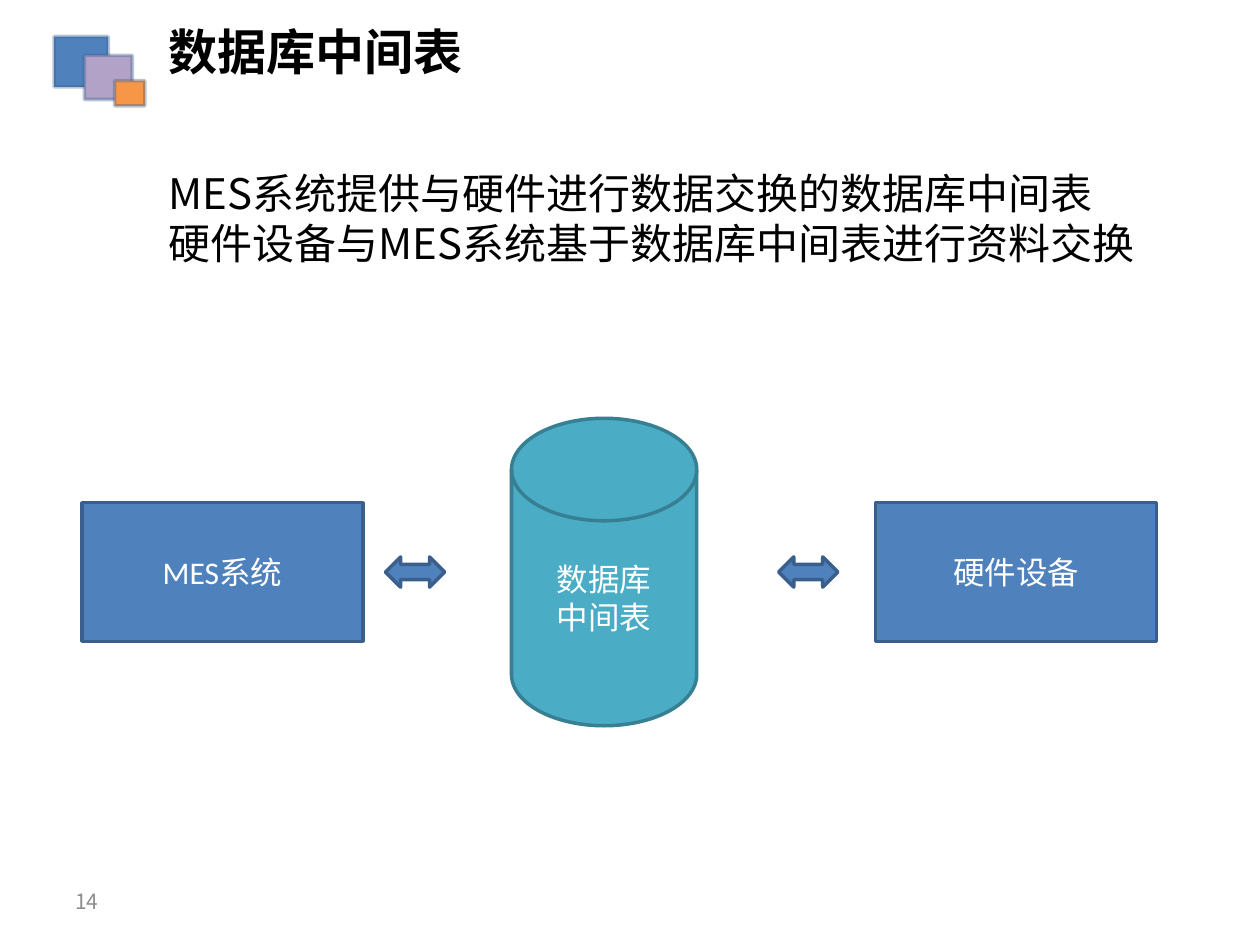
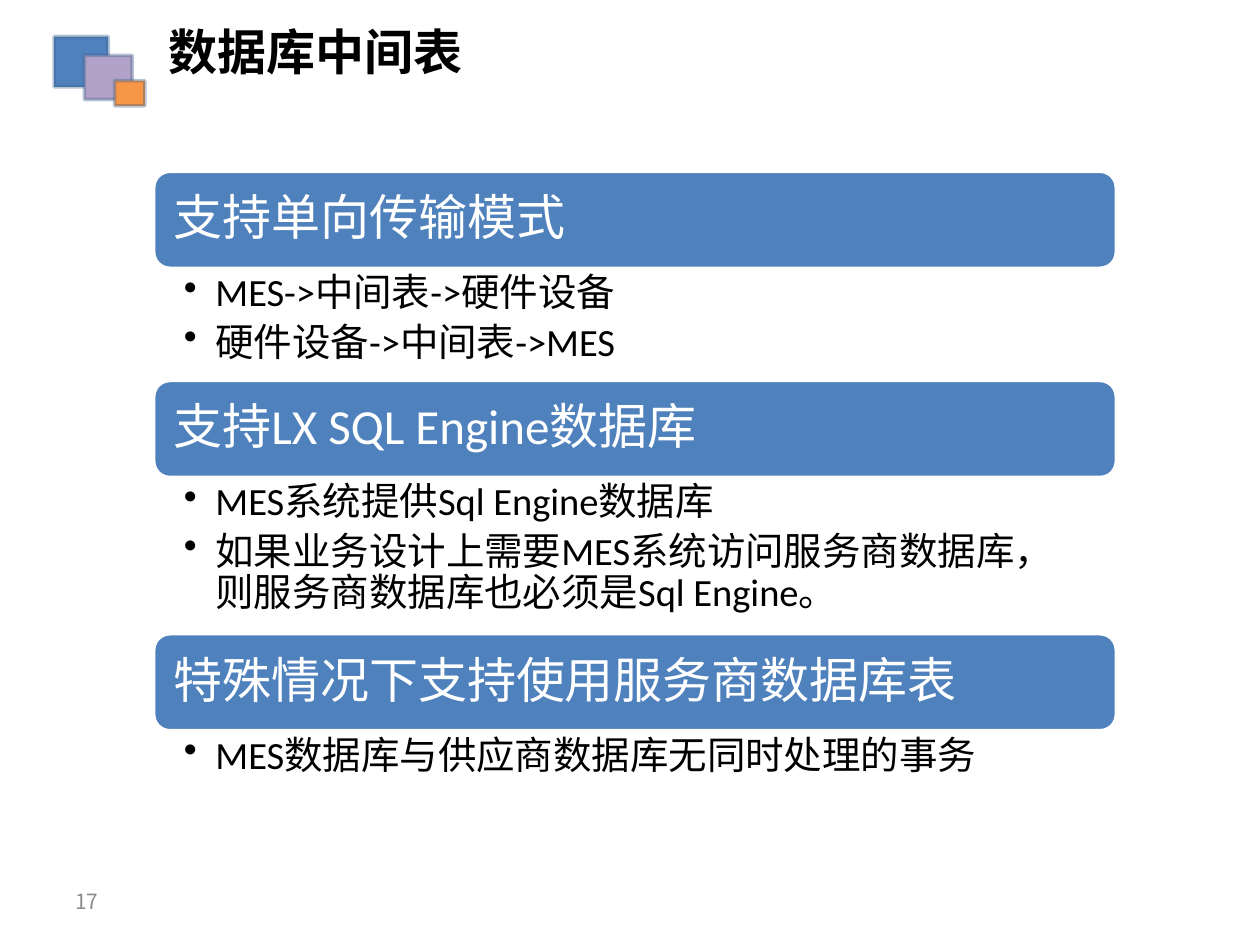
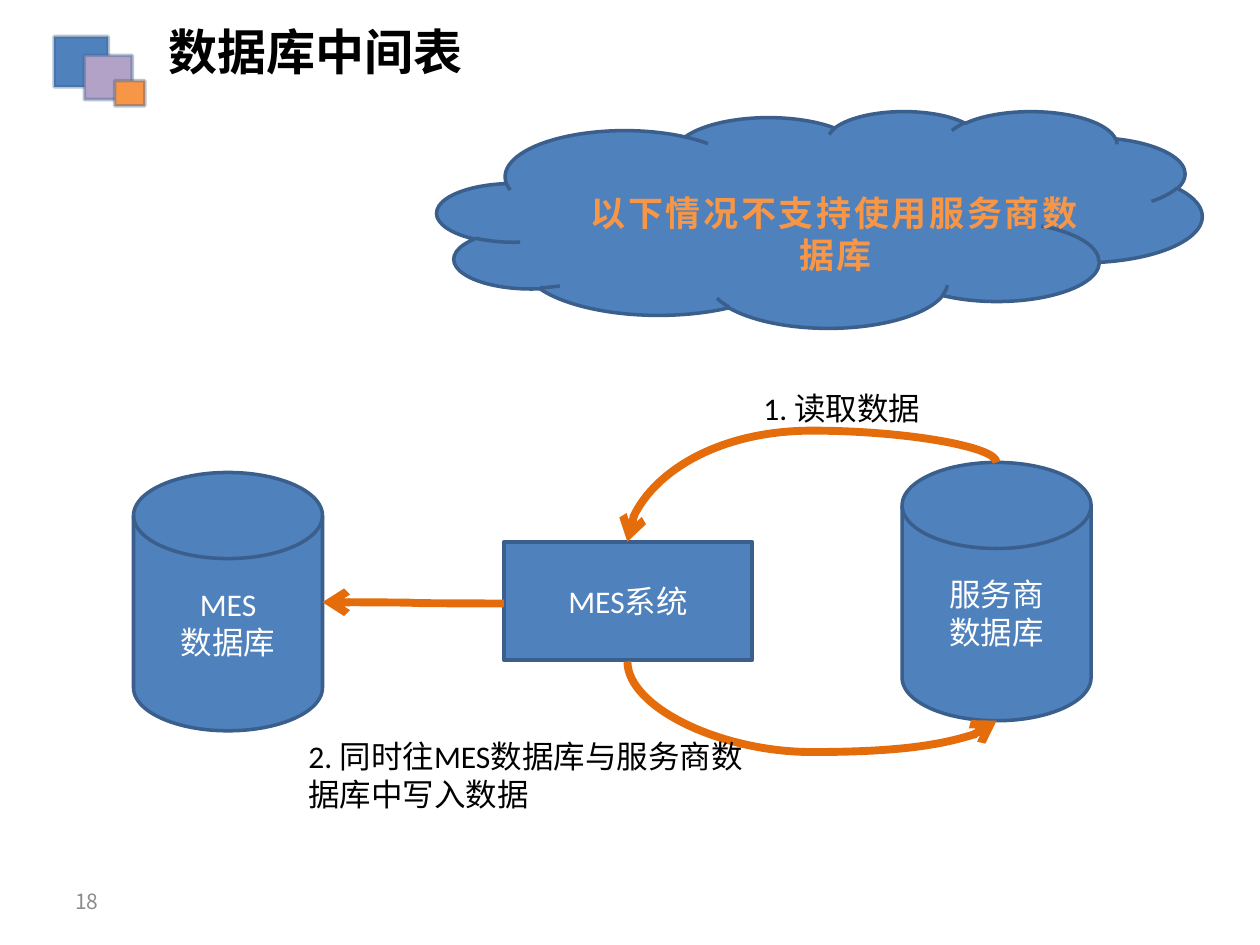
from lxml import etree
from pptx import Presentation
from pptx.dml.color import RGBColor
from pptx.enum.shapes import MSO_CONNECTOR, MSO_SHAPE
from pptx.enum.text import MSO_ANCHOR, PP_ALIGN
from pptx.oxml.ns import qn
from pptx.util import Inches, Pt

RECTANGLE = MSO_SHAPE.RECTANGLE
PROCESS = MSO_SHAPE.FLOWCHART_PROCESS
DISK = MSO_SHAPE.FLOWCHART_MAGNETIC_DISK
ROUNDED = MSO_SHAPE.ROUNDED_RECTANGLE
DOUBLE_ARROW = MSO_SHAPE.LEFT_RIGHT_ARROW
CLOUD = MSO_SHAPE.CLOUD
CURVE = MSO_CONNECTOR.CURVE
TOP, MIDDLE = MSO_ANCHOR.TOP, MSO_ANCHOR.MIDDLE
LEFT, CENTER = PP_ALIGN.LEFT, PP_ALIGN.CENTER

BLUE, BLUE_EDGE = "4F81BD", "3A5F8C"
TEAL, TEAL_EDGE = "4BACC6", "377F92"
PURPLE, ORANGE, ARROW_ORANGE = "B3A2C7", "F79646", "E46C0A"
BLACK, WHITE, GREY = "000000", "FFFFFF", "8C8C8C"
LATIN, CHINESE = "Calibri", "Noto Sans CJK SC"


def color(value):
    return RGBColor.from_string(value)


def inches(*values):
    return [Inches(value) for value in values]


class Builder:
    def __init__(self):
        self.deck = Presentation()
        self.deck.slide_width, self.deck.slide_height = inches(10, 7.5)
        self.page = None

    def start_page(self, title, number):
        self.page = self.deck.slides.add_slide(self.deck.slide_layouts[6])
        self.text((0.5, 6.95, 2.33, 0.4), [str(number)], 12, GREY, CHINESE, anchor=MIDDLE)
        for place, fill in (
            ((0.43, 0.29, 0.43, 0.4), BLUE),
            ((0.67, 0.44, 0.38, 0.35), PURPLE),
            ((0.91, 0.64, 0.24, 0.2), ORANGE),
        ):
            square = self.shape(RECTANGLE, place, fill=fill)
            edge = square._element.spPr.find(qn("a:ln")).find(".//" + qn("a:srgbClr"))
            etree.SubElement(edge, qn("a:alpha"), val="37000")
        self.text((1.24, 0.12, 7.48, 1.51), [title], 28, BLACK, CHINESE, bold=True)

    def fill_text(self, box, lines, size, ink, font=LATIN, align=LEFT, anchor=TOP,
                  bold=False, bullet=False, tight=False, tracking=0):
        frame = box.text_frame
        frame.word_wrap = True
        frame.vertical_anchor = anchor
        for index, line in enumerate(lines):
            para = frame.add_paragraph() if index else frame.paragraphs[0]
            para.text = line
            para.alignment = align
            properties = para._p.get_or_add_pPr()
            if tight:
                para.line_spacing = 0.9
            if bullet:
                para.space_after = Pt(4.5)
                properties.set("marL", str(Inches(0.25)))
                properties.set("indent", str(-Inches(0.25)))
                etree.SubElement(properties, qn("a:buChar"), char="•")
            para.font.size = Pt(size)
            para.font.bold = bold
            para.font.color.rgb = color(ink)
            para.font.name = font
            defaults = properties.find(qn("a:defRPr"))
            etree.SubElement(defaults, qn("a:ea"), typeface=CHINESE)
            if tracking:
                defaults.set("spc", str(int(tracking * 100)))

    def text(self, place, lines, size=18, ink=BLACK, font=LATIN, insets=None, **style):
        box = self.page.shapes.add_textbox(*inches(*place))
        if insets:
            self.inset(box, insets)
        self.fill_text(box, lines, size, ink, font, **style)

    def inset(self, box, insets):
        frame = box.text_frame
        (frame.margin_left, frame.margin_top,
         frame.margin_right, frame.margin_bottom) = inches(*insets)

    def shape(self, kind, place, lines=(), fill=BLUE, edge=BLUE_EDGE):
        box = self.page.shapes.add_shape(kind, *inches(*place))
        box.shadow.inherit = False
        box.fill.solid()
        box.fill.fore_color.rgb = color(fill)
        box.line.color.rgb = color(edge)
        box.line.width = Pt(2)
        if lines:
            self.fill_text(box, lines, 18, WHITE, align=CENTER, anchor=MIDDLE)
        return box

    def section(self, top, heading, points, height):
        bar_height = 0.77
        bar = self.shape(ROUNDED, (1.22, top, 7.64, bar_height), edge=WHITE)
        self.inset(bar, (0.12,) * 4)
        self.fill_text(bar, [heading], 28, WHITE, anchor=MIDDLE, tight=True)
        self.text((1.22, top + bar_height, 7.64, height), points, 22,
                  insets=(0.24, 0.04, 0.22, 0.04), bullet=True, tight=True)
        return top + bar_height + height

    def curve(self, start, end, bend=None):
        points = [start, end]
        if bend is not None:
            middle_x, middle_y = (start[0] + end[0]) / 2, (start[1] + end[1]) / 2
            points = [(middle_x + middle_y - y, middle_y + x - middle_x) for x, y in points]
        arrow = self.page.shapes.add_connector(CURVE, *inches(*points[0], *points[1]))
        arrow.line.color.rgb = color(ARROW_ORANGE)
        arrow.line.width = Pt(4.5)
        properties = arrow._element.spPr
        etree.SubElement(properties.find(qn("a:ln")), qn("a:tailEnd"), type="arrow")
        etree.SubElement(properties, qn("a:effectLst"))
        if bend is not None:
            properties.find(qn("a:xfrm")).set("rot", str(270 * 60000))
            guides = properties.find(".//" + qn("a:avLst"))
            etree.SubElement(guides, qn("a:gd"), name="adj1", fmla=f"val {round(bend * 100000)}")


def build_overview(builder):
    builder.start_page("数据库中间表", 14)
    builder.text((1.24, 1.28, 7.99, 0.91), [
        "MES系统提供与硬件进行数据交换的数据库中间表",
        "硬件设备与MES系统基于数据库中间表进行资料交换",
    ], 24, font=CHINESE)
    builder.shape(DISK, (4.06, 3.32, 1.47, 2.44), ["数据库", "中间表"], TEAL, TEAL_EDGE)
    for left, label in ((0.65, "MES系统"), (6.95, "硬件设备")):
        builder.shape(RECTANGLE, (left, 3.99, 2.23, 1.1), [label])
    for left in (3.06, 6.18):
        builder.shape(DOUBLE_ARROW, (left, 4.42, 0.47, 0.24))


def build_rules(builder):
    builder.start_page("数据库中间表", 17)
    top = 1.36
    for heading, points, height in (
        ("支持单向传输模式", ["MES->中间表->硬件设备", "硬件设备->中间表->MES"], 0.89),
        ("支持LX SQL Engine数据库", [
            "MES系统提供Sql Engine数据库",
            "如果业务设计上需要MES系统访问服务商数据库，则服务商数据库也必须是Sql Engine。",
        ], 1.24),
        ("特殊情况下支持使用服务商数据库表", ["MES数据库与供应商数据库无同时处理的事务"], 0.51),
    ):
        top = builder.section(top, heading, points, height)


def build_exception(builder):
    builder.start_page("数据库中间表", 18)
    builder.shape(DISK, (7.16, 3.67, 1.5, 2.05), ["服务商", "数据库"])
    builder.shape(PROCESS, (4, 4.3, 1.97, 0.94), ["MES系统"])
    builder.curve((7.91, 3.67), (4.98, 4.3), bend=-0.4)
    builder.text((5.96, 3.04, 2.22, 0.4), ["1. 读取数据"])
    builder.shape(DISK, (1.06, 3.75, 1.5, 2.05), ["MES", "数据库"])
    builder.curve((4, 4.79), (2.56, 4.78))
    builder.curve((4.98, 5.25), (7.91, 5.72), bend=1.53)
    builder.text((2.35, 5.8, 3.87, 0.71), ["2. 同时往MES数据库与服务商数据库中写入数据"])
    builder.shape(CLOUD, (3.47, 0.88, 6.07, 1.72))
    builder.text((4.44, 1.47, 4.38, 0.77), ["以下情况不支持使用服务商数据库"], 20, ORANGE,
                 CHINESE, align=CENTER, bold=True, tracking=1.5)


def main():
    builder = Builder()
    build_overview(builder)
    build_rules(builder)
    build_exception(builder)
    builder.deck.save("out.pptx")


if __name__ == "__main__":
    main()
